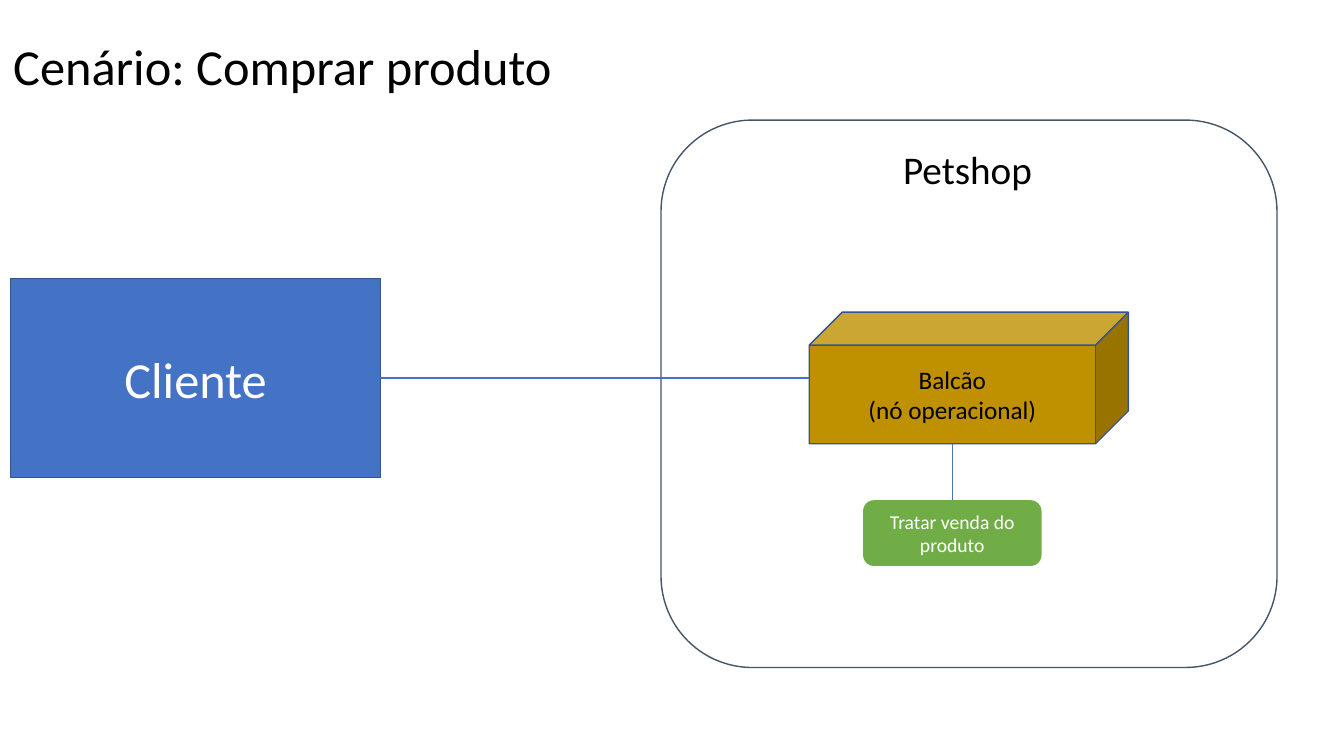
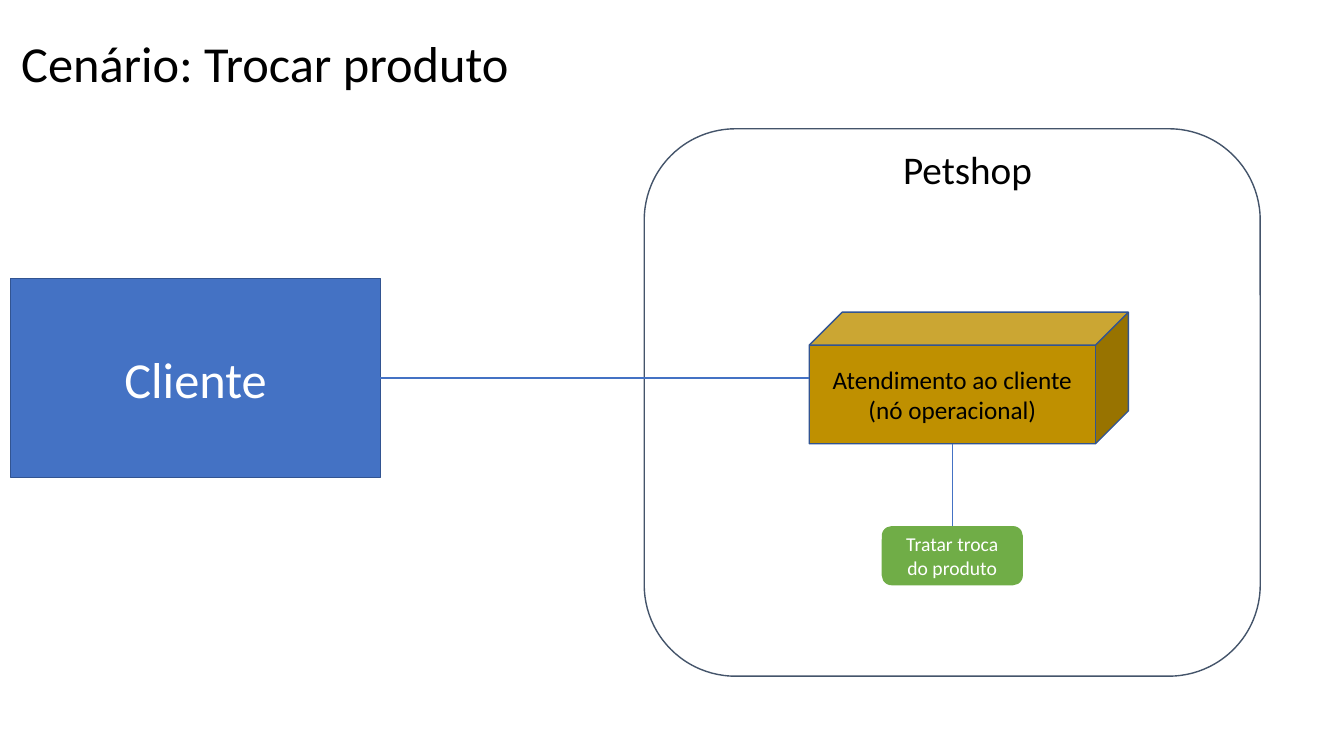
import pptx
import pptx.dml.color
import pptx.enum.shapes
import pptx.enum.text
import pptx.util
import lxml.etree

Pt = pptx.util.Pt
Shape = pptx.enum.shapes.MSO_SHAPE
Align = pptx.enum.text.PP_ALIGN
Anchor = pptx.enum.text.MSO_ANCHOR
Color = pptx.dml.color.RGBColor.from_string


class Theme:
    font = "Calibri"
    ink = Color("000000")
    paper = Color("FFFFFF")
    frame = Color("44546A")
    actor = Color("4472C4")
    outline = Color("325491")
    node = Color("BF9000")
    task = Color("70AD47")
    title_size = 36
    area_size = 28
    node_size = 18
    task_size = 14
    line_width = 1


def write_text(shape, text, size, color=Theme.ink, align=Align.CENTER,
               anchor=Anchor.MIDDLE, wrap=True):
    frame = shape.text_frame
    frame.text = text
    frame.word_wrap = wrap
    frame.auto_size = pptx.enum.text.MSO_AUTO_SIZE.NONE
    frame.vertical_anchor = anchor
    for paragraph in frame.paragraphs:
        paragraph.alignment = align
        paragraph.font.name = Theme.font
        paragraph.font.size = Pt(size)
        paragraph.font.color.rgb = color


def add_block(slide, kind, box, fill, line=None):
    block = slide.shapes.add_shape(kind, *map(Pt, box))
    block.shadow.inherit = False
    block.fill.solid()
    block.fill.fore_color.rgb = fill
    if line is None:
        block.line.fill.background()
    else:
        block.line.color.rgb = line
        block.line.width = Pt(Theme.line_width)
    return block


scenarios = [
    dict(title="Cenário: Comprar produto", title_box=(2.2, 21.6, 402.5, 94.3),
         area_corner=(472.2, 85.8), node="Balcão",
         task="Tratar venda do produto", task_top=357.3, task_size=(127.5, 47)),
    dict(title="Cenário: Trocar produto", title_box=(7.9, 19.4, 366, 94.3),
         area_corner=(460.2, 92), node="Atendimento ao cliente",
         task="Tratar troca do produto", task_top=375.8, task_size=(100.8, 42.3)),
]

area_size = (440, 391)
client_box = (7.7, 199, 264, 142)
node_left, node_top, node_width, node_height = 578, 223, 228, 94
node_depth = node_height / 4
node_axis = node_left + (node_width - node_depth) / 2
client_axis = client_box[1] + client_box[3] / 2

deck = pptx.Presentation()
deck.slide_width, deck.slide_height = Pt(960), Pt(540)

for scenario in scenarios:
    slide = deck.slides.add_slide(deck.slide_layouts[5])

    title = slide.shapes.title
    title.left, title.top, title.width, title.height = map(Pt, scenario["title_box"])
    write_text(title, scenario["title"], Theme.title_size, align=Align.LEFT,
               anchor=Anchor.TOP, wrap=False)

    add_block(slide, Shape.ROUNDED_RECTANGLE, scenario["area_corner"] + area_size,
              Theme.paper, Theme.frame)
    area_label = slide.shapes.add_textbox(Pt(638), Pt(100), Pt(108), Pt(41))
    write_text(area_label, "Petshop", Theme.area_size, align=Align.LEFT,
               anchor=Anchor.TOP, wrap=False)

    client = add_block(slide, Shape.RECTANGLE, client_box, Theme.actor, Theme.outline)
    write_text(client, "Cliente", Theme.title_size, Theme.paper)

    node = add_block(slide, Shape.CUBE, (node_left, node_top, node_width, node_height),
                     Theme.node, Theme.outline)
    write_text(node, scenario["node"] + "\n(nó operacional)", Theme.node_size)

    task_width, task_height = scenario["task_size"]
    task = add_block(slide, Shape.ROUNDED_RECTANGLE,
                     (node_axis - task_width / 2, scenario["task_top"],
                      task_width, task_height), Theme.task)
    write_text(task, scenario["task"], Theme.task_size, Theme.paper)

    for source, side, end_x, end_y in [
        (client, 3, node_left, client_axis),
        (task, 0, node_axis, node_top + node_height),
    ]:
        link = slide.shapes.add_connector(
            pptx.enum.shapes.MSO_CONNECTOR.STRAIGHT, 0, 0, Pt(end_x), Pt(end_y))
        link.begin_connect(source, side)
        link.line.color.rgb = Theme.actor
        link.line.width = Pt(Theme.line_width)
        lxml.etree.SubElement(link.element.spPr, pptx.oxml.ns.qn("a:effectLst"))

deck.save("out.pptx")
